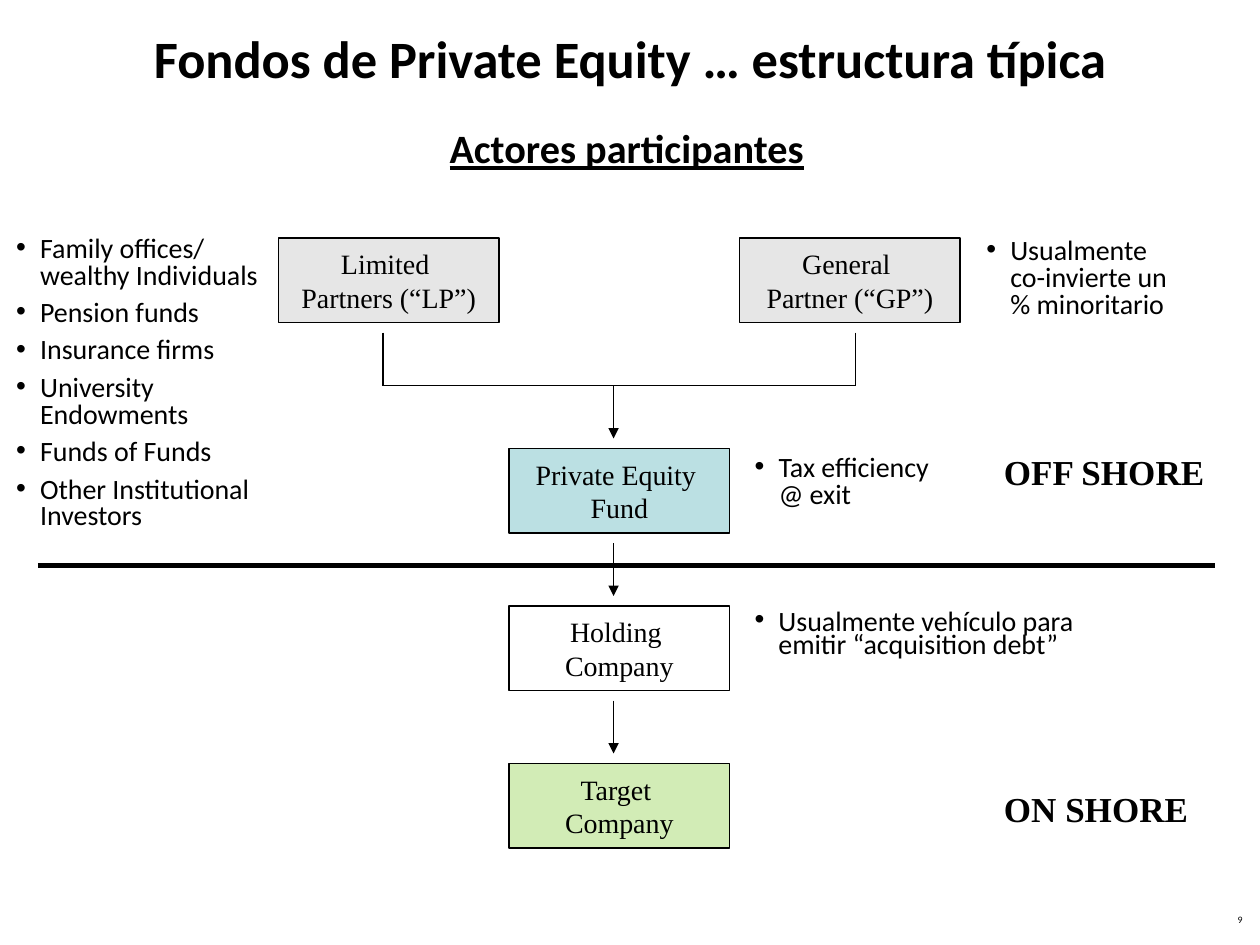
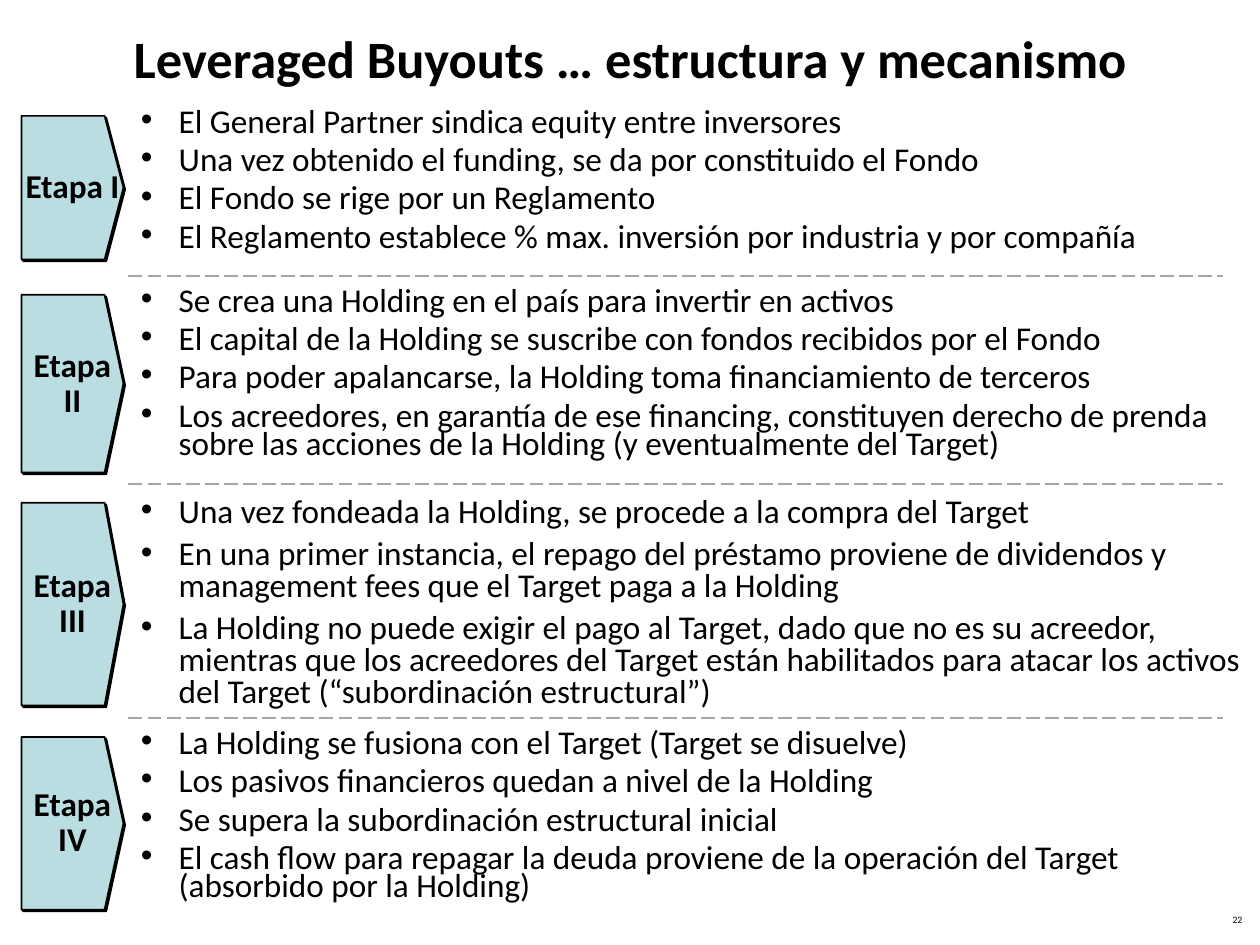
from dataclasses import dataclass

from lxml import etree
from pptx import Presentation
from pptx import util as u
from pptx.dml.color import RGBColor
from pptx.enum import dml, shapes, text
from pptx.oxml import ns

BLACK = RGBColor(0, 0, 0)
WHITE = RGBColor(255, 255, 255)
GREY = RGBColor(0xE6, 0xE6, 0xE6)
DASH_GREY = RGBColor(0xA6, 0xA6, 0xA6)
FUND_BLUE = RGBColor(0xBB, 0xE0, 0xE3)
STAGE_BLUE = RGBColor(0xBA, 0xDD, 0xE1)
TARGET_GREEN = RGBColor(0xD2, 0xEC, 0xB6)

SANS, SERIF = "Calibri", "Times New Roman"
COLUMNS, ROWS = 100, 75
WIDTH, HEIGHT = u.Inches(10), u.Inches(7.5)
CELL = WIDTH / COLUMNS
INSETS = (1, 0.5)
CENTER = text.PP_ALIGN.CENTER
MIDDLE = text.MSO_ANCHOR.MIDDLE


def grid(cells):
    """Turn grid cells into a length."""
    return u.Emu(round(cells * CELL))


@dataclass
class Box:
    """A rectangle measured in grid cells."""
    left: float
    top: float
    width: float
    height: float

    def inside(self, left, top, width, height):
        return Box(self.left + left, self.top + top, width, height)

    def lengths(self):
        return [grid(side) for side in (self.left, self.top, self.width, self.height)]


@dataclass
class Style:
    size: float
    font: str = SANS
    bold: bool = False
    underline: bool = False
    align: text.PP_ALIGN = text.PP_ALIGN.LEFT
    spacing: object = None
    indent: float = 0


TITLE = Style(30, bold=True, align=CENTER)
SUBTITLE = Style(23, bold=True, underline=True)
NUMBER = Style(5.6, align=text.PP_ALIGN.RIGHT, spacing=0.8)
NODE = Style(16, SERIF, align=CENTER)
ZONE = Style(20, SERIF, bold=True)
NOTE = Style(16, spacing=0.8, indent=1.9)
TIGHT_NOTE = Style(16, spacing=0.7, indent=1.9)
STAGE_LIST = Style(19, spacing=0.7, indent=3)
LOOSE_STAGE_LIST = Style(19, spacing=0.8, indent=3)
BADGE = Style(19, bold=True, align=CENTER, spacing=u.Pt(20))


def add_bullet(para, indent):
    properties = para._p.get_or_add_pPr()
    properties.set("marL", str(grid(indent)))
    properties.set("indent", str(-grid(indent)))
    color = etree.SubElement(properties, ns.qn("a:buClr"))
    etree.SubElement(color, ns.qn("a:srgbClr"), val=str(BLACK))
    etree.SubElement(properties, ns.qn("a:buFont"), typeface="Arial")
    etree.SubElement(properties, ns.qn("a:buChar"), char="•")


def write(shape, lines, style, anchor=text.MSO_ANCHOR.TOP, wrap=True, insets=INSETS):
    frame = shape.text_frame
    frame.word_wrap = wrap
    frame.vertical_anchor = anchor
    frame.margin_left = frame.margin_right = grid(insets[0])
    frame.margin_top = frame.margin_bottom = grid(insets[1])
    for index, line in enumerate(lines):
        para = frame.add_paragraph() if index else frame.paragraphs[0]
        if style.indent:
            add_bullet(para, style.indent)
            para.space_before = u.Pt(6 if index else 0)
        para.alignment = style.align
        if style.spacing:
            para.line_spacing = style.spacing
        span = para.add_run()
        span.text = line
        font = span.font
        font.name, font.size, font.bold = style.font, u.Pt(style.size), style.bold
        font.underline = style.underline
        font.color.rgb = BLACK


def add_text(page, box, lines, style, **options):
    write(page.shapes.add_textbox(*box.lengths()), lines, style, **options)


def paint(shape, color):
    shape.shadow.inherit = False
    shape.fill.solid()
    shape.fill.fore_color.rgb = color
    shape.line.color.rgb = BLACK
    shape.line.width = u.Pt(1)


def add_line(page, start, end, color=BLACK, weight=1, dash=None, arrow=False):
    ends = [grid(cells) for cells in (*start, *end)]
    line = page.shapes.add_connector(shapes.MSO_CONNECTOR.STRAIGHT, *ends)
    line.line.color.rgb = color
    line.line.width = u.Pt(weight)
    if dash:
        line.line.dash_style = dash
    if arrow:
        etree.SubElement(line.line._get_or_add_ln(), ns.qn("a:tailEnd"), type="triangle")
    etree.SubElement(line._element.spPr, ns.qn("a:effectLst"))


def new_page(deck, title, number):
    page = deck.slides.add_slide(deck.slide_layouts[6])
    add_text(page, Box(3.6, 0, 92.9, 9.1), [title], TITLE, anchor=MIDDLE)
    add_text(page, Box(76.3, 72.2, 23.3, 2.1), [str(number)], NUMBER)
    return page


def add_structure(page, box):
    """Partners on top, joined into a chain of fund, holding and target."""
    node_width, node_height, step = 17.5, 6.7, 12.5
    middle = (box.width - node_width) / 2
    fund_row = 16.7
    chain = [
        (["Private Equity ", "Fund"], FUND_BLUE),
        (["Holding ", "Company"], WHITE),
        (["Target ", "Company"], TARGET_GREEN),
    ]
    nodes = [
        (0, 0, ["Limited ", "Partners (“LP”)"], GREY),
        (2 * middle, 0, ["General ", "Partner (“GP”)"], GREY),
    ]
    nodes += [(middle, fund_row + i * step, *link) for i, link in enumerate(chain)]
    for left, top, lines, color in nodes:
        place = box.inside(left, top, node_width, node_height)
        node = page.shapes.add_shape(shapes.MSO_SHAPE.RECTANGLE, *place.lengths())
        paint(node, color)
        write(node, lines, NODE, MIDDLE, wrap=False)

    arrow_gap, arrow_start = 0.8, 5
    axis = box.left + 26.6
    joint = box.top + fund_row - arrow_start
    partner_axes = [box.left + 8.3, box.left + 45.8]
    add_line(page, (partner_axes[0], joint), (partner_axes[1], joint))
    for partner_axis in partner_axes:
        add_line(page, (partner_axis, box.top + 7.5), (partner_axis, joint))
    for i in range(len(chain)):
        top = box.top + fund_row + i * step
        add_line(page, (axis, top - arrow_start), (axis, top - arrow_gap), arrow=True)


def add_structure_notes(page, box):
    notes = [
        (0.3, 0, 22.9, 25.9, NOTE, [
            "Family offices/ wealthy Individuals", "Pension funds", "Insurance firms",
            "University Endowments", "Funds of Funds", "Other Institutional Investors"]),
        (58.9, 17.4, 17.8, 5.6, NOTE, ["Tax efficiency @ exit"]),
        (77.3, 0.2, 17.8, 10.8, NOTE, ["Usualmente co-invierte un % minoritario"]),
        (58.9, 29.8, 27.7, 5.1, TIGHT_NOTE,
         ["Usualmente vehículo para emitir “acquisition debt”"]),
        (78.7, 17, 18.3, 4.4, ZONE, ["OFF SHORE"]),
        (78.7, 43.7, 18.3, 4.4, ZONE, ["ON SHORE"]),
    ]
    for *place, style, lines in notes:
        add_text(page, box.inside(*place), lines, style)
    shore = box.top + 26.6
    add_line(page, (box.left + 3, shore), (box.left + 96.4, shore), weight=3)


def add_badge(page, box, label):
    """Five-sided arrow with a hard shadow, pointing at the stage's list."""
    shoulder = box.left + 6.6
    right, bottom = box.left + box.width, box.top + box.height
    corners = [(shoulder, box.top), (right, box.top + box.height / 2),
               (shoulder, bottom), (box.left, bottom)]
    outline = page.shapes.build_freeform(grid(box.left), grid(box.top))
    outline.add_line_segments([(grid(x), grid(y)) for x, y in corners], close=True)
    badge = outline.convert_to_shape()
    paint(badge, STAGE_BLUE)
    effects = badge._element.spPr.find(ns.qn("a:effectLst"))
    shadow = etree.SubElement(effects, ns.qn("a:outerShdw"), blurRad="0",
                              dist=str(u.Pt(1.4)), dir="2700000", algn="ctr",
                              rotWithShape="0")
    etree.SubElement(shadow, ns.qn("a:srgbClr"), val=str(BLACK))
    write(badge, [label], BADGE, MIDDLE, insets=(0, 0.5))


def add_stage(page, box, label, lines, style, ruled):
    list_left = 8.5
    add_text(page, box.inside(list_left, -0.9, box.width - list_left, box.height + 2),
             lines, style)
    add_badge(page, box.inside(0, 0, 8.1, box.height), label)
    if ruled:
        rule = box.top - 1.5
        add_line(page, (box.left + list_left, rule), (97.1, rule), DASH_GREY,
                 dash=dml.MSO_LINE.LONG_DASH)


def add_structure_page(deck):
    page = new_page(deck, "Fondos de Private Equity … estructura típica", 9)
    add_text(page, Box(34.7, 9.3, 30.3, 4.9), ["Actores participantes"], SUBTITLE, wrap=False)
    add_structure(page, Box(22.1, 18.9, 54.1, 48.4))
    add_structure_notes(page, Box(0, 18.3, COLUMNS, 48.1))


def add_buyout_page(deck):
    page = new_page(deck, "Leveraged Buyouts … estructura y mecanismo", 22)
    stages = [
        ("Etapa I", 9.2, 98.3, 11.4, STAGE_LIST, [
            "El General Partner sindica equity entre inversores",
            "Una vez obtenido el funding, se da por constituido el Fondo",
            "El Fondo se rige por un Reglamento",
            "El Reglamento establece % max. inversión por industria y por compañía"]),
        ("Etapa II", 23.4, 98.3, 14.1, STAGE_LIST, [
            "Se crea una Holding en el país para invertir en activos",
            "El capital de la Holding se suscribe con fondos recibidos por el Fondo",
            "Para poder apalancarse, la Holding toma financiamiento de terceros",
            "Los acreedores, en garantía de ese financing, constituyen derecho de prenda "
            "sobre las acciones de la Holding (y eventualmente del Target)"]),
        ("Etapa III", 39.9, 98.3, 16.1, LOOSE_STAGE_LIST, [
            "Una vez fondeada la Holding, se procede a la compra del Target",
            "En una primer instancia, el repago del préstamo proviene de dividendos y "
            "management fees que el Target paga a la Holding",
            "La Holding no puede exigir el pago al Target, dado que no es su acreedor, "
            "mientras que los acreedores del Target están habilitados para atacar los "
            "activos del Target (“subordinación estructural”)"]),
        ("Etapa IV", 58.5, 94.3, 13.7, STAGE_LIST, [
            "La Holding se fusiona con el Target (Target se disuelve)",
            "Los pasivos financieros quedan a nivel de la Holding",
            "Se supera la subordinación estructural inicial",
            "El cash flow para repagar la deuda proviene de la operación del Target "
            "(absorbido por la Holding)"]),
    ]
    for index, (label, top, width, height, style, lines) in enumerate(stages):
        add_stage(page, Box(1.7, top, width, height), label, lines, style, ruled=index > 0)


def main():
    deck = Presentation()
    deck.slide_width, deck.slide_height = WIDTH, grid(ROWS)
    add_structure_page(deck)
    add_buyout_page(deck)
    deck.save("out.pptx")


if __name__ == "__main__":
    main()
